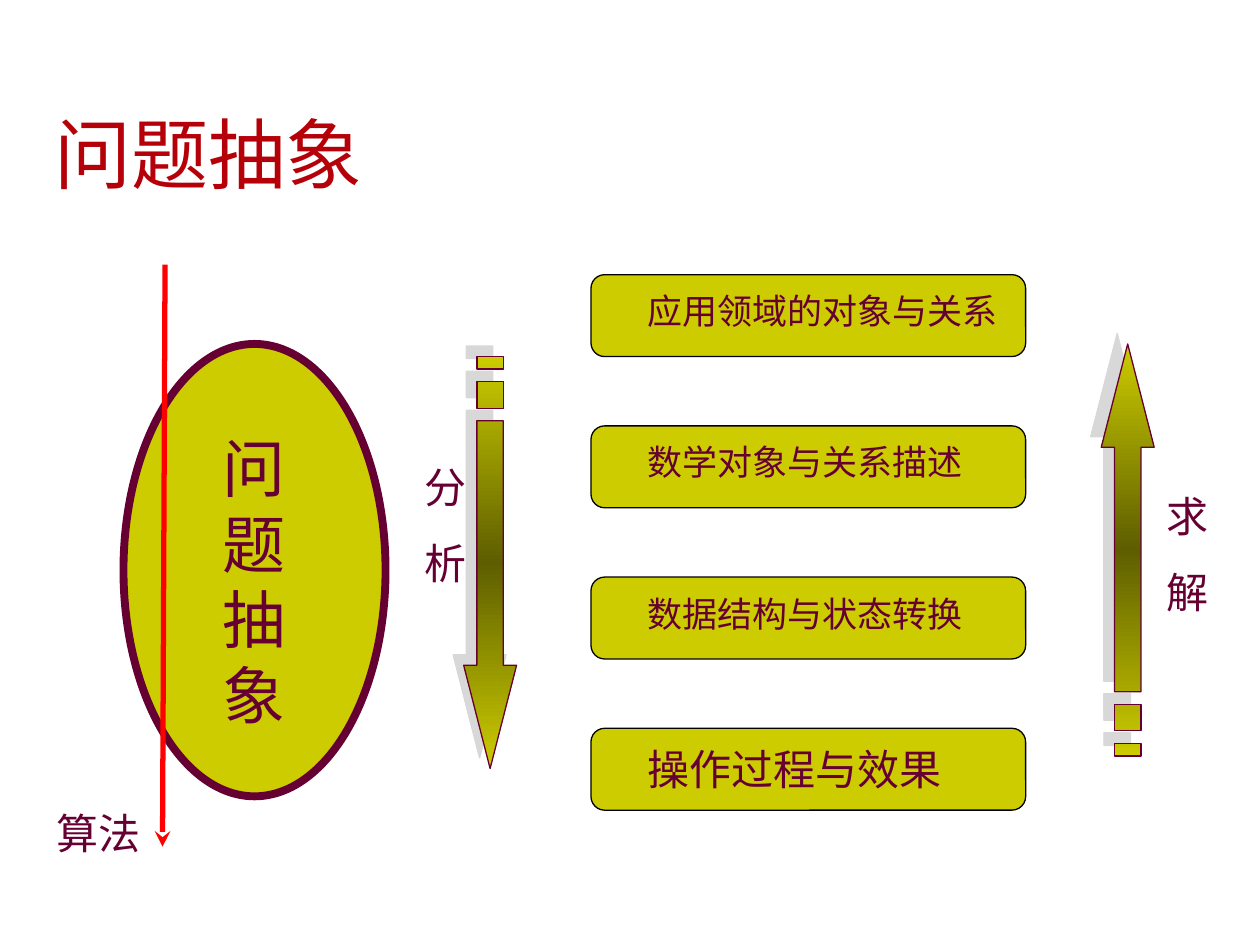
from copy import deepcopy
from dataclasses import dataclass

from lxml.etree import SubElement
from pptx import Presentation
from pptx.dml.color import RGBColor
from pptx.enum.shapes import MSO_CONNECTOR, MSO_SHAPE
from pptx.enum.text import MSO_ANCHOR, PP_ALIGN
from pptx.oxml.ns import qn
from pptx.util import Inches, Pt

OLIVE = "CCCC00"
DARK_OLIVE = "5E5E00"
PLUM = "660033"
SERIF = "Times New Roman"


@dataclass
class Label:
    text: str
    left: float
    top: float
    width: float
    height: float
    size: int = 24
    font: str = SERIF
    align: PP_ALIGN = PP_ALIGN.LEFT


@dataclass
class StripedArrow:
    center: float
    tail: float
    direction: int  # 1 points down, -1 points up


LEVELS = [
    ("应用领域的对象与关系", 20),
    ("数学对象与关系描述", 20),
    ("数据结构与状态转换", 20),
    ("操作过程与效果", 24),
]
LEVEL_LEFT, LEVEL_TOP, LEVEL_PITCH = 4.69, 2.18, 1.2

LABELS = [
    Label("问题抽象", 1.61, 3.36, 0.81, 2.5, 36, "Noto Sans CJK SC", PP_ALIGN.CENTER),
    Label("算法", 0.35, 6.36, 0.97, 0.5),
    Label("分\n析", 3.27, 3.61, 0.41, 1.11),
    Label("求\n解", 9.16, 3.84, 0.41, 1.11),
]
ARROWS = [StripedArrow(3.89, 2.83, 1), StripedArrow(8.95, 6.0, -1)]


def color(value: str) -> RGBColor:
    return RGBColor.from_string(value)


def format_text(text_frame, size: int, font: str, text_color: str, align: PP_ALIGN) -> None:
    for paragraph in text_frame.paragraphs:
        paragraph.alignment = align
        for run in paragraph.runs:
            run.font.size = Pt(size)
            run.font.name = font
            run.font.color.rgb = color(text_color)


def add_title(slide, text: str) -> None:
    title = slide.shapes.title
    title.left, title.top = Inches(0.35), Inches(0.79)
    title.width, title.height = Inches(9.45), Inches(0.83)
    text_frame = title.text_frame
    text_frame.text = text
    text_frame.vertical_anchor = MSO_ANCHOR.BOTTOM
    text_frame.margin_left = text_frame.margin_right = Inches(0.08)
    text_frame.margin_top = text_frame.margin_bottom = Inches(0.04)
    format_text(text_frame, 44, SERIF, "B60009", PP_ALIGN.LEFT)


def add_label(slide, label: Label) -> None:
    box = slide.shapes.add_textbox(
        Inches(label.left), Inches(label.top), Inches(label.width), Inches(label.height)
    )
    text_frame = box.text_frame
    text_frame.word_wrap = True
    text_frame.text = label.text
    for paragraph in text_frame.paragraphs[1:]:
        paragraph.space_before = Pt(15)
    format_text(text_frame, label.size, label.font, PLUM, label.align)


def add_olive_shape(slide, kind: MSO_SHAPE, left: float, top: float, width: float,
                    height: float, line_color: str, line_width: float) -> None:
    shape = slide.shapes.add_shape(
        kind, Inches(left), Inches(top), Inches(width), Inches(height)
    )
    shape.shadow.inherit = False
    shape.fill.solid()
    shape.fill.fore_color.rgb = color(OLIVE)
    shape.line.color.rgb = color(line_color)
    shape.line.width = Pt(line_width)


def add_algorithm_line(slide) -> None:
    connector = slide.shapes.add_connector(
        MSO_CONNECTOR.STRAIGHT, Inches(1.31), Inches(2.1), Inches(1.29), Inches(6.72)
    )
    connector.line.color.rgb = color("FF0000")
    connector.line.width = Pt(3)
    SubElement(connector.line._get_or_add_ln(), qn("a:tailEnd"), type="stealth")
    SubElement(connector._element.spPr, qn("a:effectLst"))


def fill_with_dark_middle(shape) -> None:
    shape.fill.gradient()
    shape.fill.gradient_angle = 90
    first_stop, last_stop = shape.fill.gradient_stops
    for stop, position in ((first_stop, 0), (last_stop, 1)):
        stop.color.rgb = color(OLIVE)
        stop.position = position
    stop_list = shape._element.spPr.find(".//" + qn("a:gsLst"))
    stop_list.insert(1, deepcopy(stop_list[0]))
    middle_stop = shape.fill.gradient_stops[1]
    middle_stop.color.rgb = color(DARK_OLIVE)
    middle_stop.position = 0.5


def add_upper_left_shadow(shape) -> None:
    shape.shadow.inherit = False
    effects = shape._element.spPr.find(qn("a:effectLst"))
    shadow = SubElement(effects, qn("a:outerShdw"), dist=str(Pt(8.5)),
                        dir=str(225 * 60000), algn="ctr", rotWithShape="0")
    shadow_color = SubElement(shadow, qn("a:srgbClr"), val="B2B2B2")
    SubElement(shadow_color, qn("a:alpha"), val="50000")


def add_striped_arrow(slide, arrow: StripedArrow) -> None:
    shaft, head = 0.105, 0.21
    neck, tip = 2.45, 3.27
    outlines = [
        [(head, neck), (shaft, neck), (shaft, 0.51), (-shaft, 0.51),
         (-shaft, neck), (-head, neck), (0, tip)],
    ]
    for start, end in ((0.2, 0.41), (0, 0.1)):
        outlines.append([(shaft, start), (-shaft, start), (-shaft, end), (shaft, end)])

    builder = None
    for outline in outlines:
        points = [
            (Inches(arrow.center + across), Inches(arrow.tail + arrow.direction * along))
            for across, along in outline
        ]
        if builder is None:
            builder = slide.shapes.build_freeform(*points[0])
        else:
            builder.move_to(*points[0])
        builder.add_line_segments(points[1:], close=True)

    shape = builder.convert_to_shape()
    fill_with_dark_middle(shape)
    shape.line.color.rgb = color(PLUM)
    shape.line.width = Pt(0.75)
    add_upper_left_shadow(shape)


def main() -> None:
    presentation = Presentation()
    presentation.slide_width, presentation.slide_height = Inches(10), Inches(7.5)
    slide = presentation.slides.add_slide(presentation.slide_layouts[5])

    add_title(slide, "问题抽象")
    add_olive_shape(slide, MSO_SHAPE.OVAL, 0.98, 2.73, 2.08, 3.59, PLUM, 4.5)
    add_algorithm_line(slide)
    for index, (text, size) in enumerate(LEVELS):
        top = LEVEL_TOP + index * LEVEL_PITCH
        add_olive_shape(slide, MSO_SHAPE.ROUNDED_RECTANGLE, LEVEL_LEFT, top,
                        3.45, 0.65, "000000", 0.75)
        add_label(slide, Label(text, LEVEL_LEFT + 0.35, top + 0.07, 3.11, 0.5, size))
    for arrow in ARROWS:
        add_striped_arrow(slide, arrow)
    for label in LABELS:
        add_label(slide, label)

    presentation.save("out.pptx")


if __name__ == "__main__":
    main()
